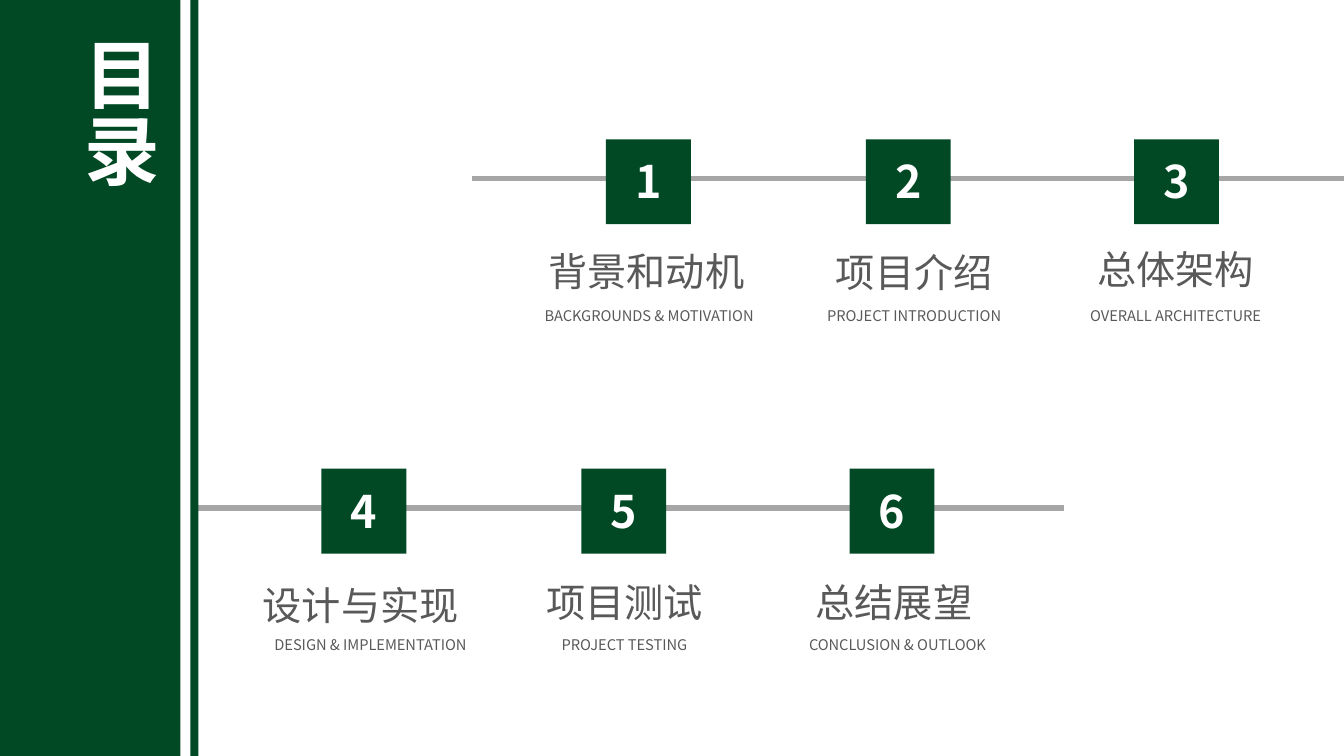
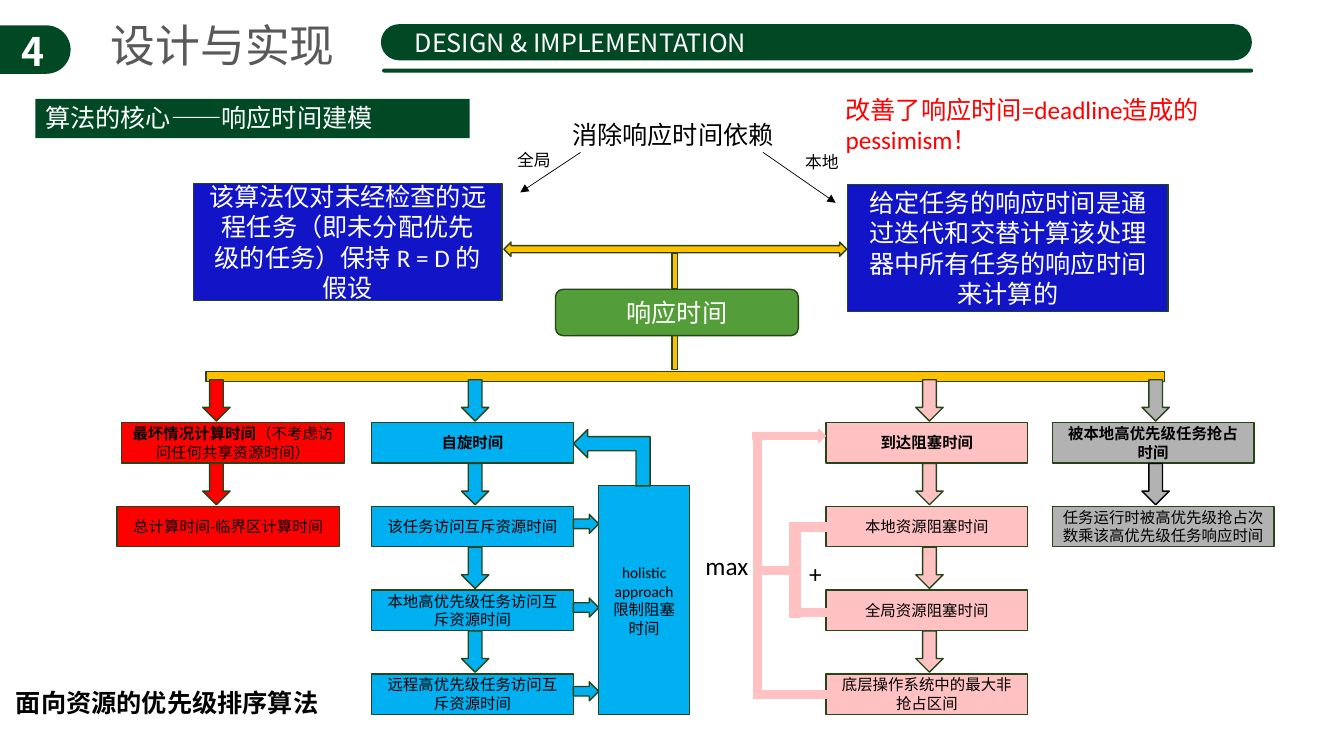
"""Build an agenda slide and a response-time modelling slide."""
from lxml import etree
from pptx import Presentation
from pptx.dml.color import RGBColor
from pptx.enum.lang import MSO_LANGUAGE_ID
from pptx.enum.shapes import MSO_CONNECTOR, MSO_SHAPE
from pptx.enum.text import MSO_ANCHOR, PP_ALIGN
from pptx.oxml.ns import qn
from pptx.util import Cm, Pt

RECTANGLE = MSO_SHAPE.RECTANGLE
ROUNDED = MSO_SHAPE.ROUNDED_RECTANGLE
DOWN_ARROW = MSO_SHAPE.DOWN_ARROW
RIGHT_ARROW = MSO_SHAPE.RIGHT_ARROW
DOUBLE_ARROW = MSO_SHAPE.LEFT_RIGHT_ARROW
BENT_ARROW = MSO_SHAPE.BENT_UP_ARROW
STRAIGHT = MSO_CONNECTOR.STRAIGHT
LEFT, CENTER = PP_ALIGN.LEFT, PP_ALIGN.CENTER
MIDDLE = MSO_ANCHOR.MIDDLE
CHINESE = MSO_LANGUAGE_ID.SIMPLIFIED_CHINESE

COLORS = {
    "brand": "014924", "outline": "254519", "white": "FFFFFF", "black": "000000",
    "heading": "595959", "rail": "A6A6A6", "gold": "FFC000", "green": "549E39",
    "navy": "1115C7", "red": "FF0000", "cyan": "00B0F0", "pink": "FFC1C1", "gray": "B2B2B2",
}
HEADING_FONT, BODY_FONT = "Noto Sans CJK SC", "Calibri"
STYLES = {
    "contents": ("white", {"name": HEADING_FONT, "size": Pt(54), "bold": True}),
    "number": ("white", {"name": HEADING_FONT, "size": Pt(32), "bold": True}),
    "agenda": ("heading", {"name": HEADING_FONT, "size": Pt(28)}),
    "caption": ("heading", {"name": HEADING_FONT, "size": Pt(10.5)}),
    "badge": ("white", {"name": HEADING_FONT, "size": Pt(28), "bold": True}),
    "title": ("heading", {"name": HEADING_FONT, "size": Pt(32)}),
    "banner": ("white", {"name": HEADING_FONT, "size": Pt(18)}),
    "footer": ("black", {"name": HEADING_FONT, "size": Pt(18), "bold": True}),
    "claim": ("white", {"name": BODY_FONT, "size": Pt(18)}),
    "body": ("black", {"name": BODY_FONT, "size": Pt(18)}),
    "alert": ("red", {"name": BODY_FONT, "size": Pt(18)}),
    "label": ("black", {"name": BODY_FONT, "size": Pt(12)}),
    "step": ("black", {"name": BODY_FONT, "size": Pt(11)}),
    "step head": ("black", {"name": BODY_FONT, "size": Pt(11), "bold": True}),
}


def add_block(slide, kind, box, fill, line=None):
    shape = slide.shapes.add_shape(kind, *map(Cm, box))
    shape.shadow.inherit = False
    shape.fill.solid()
    shape.fill.fore_color.rgb = RGBColor.from_string(COLORS[fill])
    if line:
        shape.line.color.rgb = RGBColor.from_string(COLORS[line])
        shape.line.width = Pt(1)
    else:
        shape.line.fill.background()
    return shape


def write(shape, text, style, alignment=CENTER, tail=""):
    color, formats = STYLES[style]
    frame = shape.text_frame
    frame.word_wrap = True
    for index, words in enumerate(text.split("\n")):
        paragraph = frame.add_paragraph() if index else frame.paragraphs[0]
        paragraph.alignment = alignment
        for position, part in enumerate([words, tail] if tail else [words]):
            run = paragraph.add_run()
            run.text = part
            for name, value in {**formats, "language_id": CHINESE}.items():
                setattr(run.font, name, value)
            if position:
                run.font.bold = False
            run.font.color.rgb = RGBColor.from_string(COLORS[color])
            properties = run.font.fill._xPr
            etree.SubElement(properties, qn("a:ea")).set("typeface", HEADING_FONT)


presentation = Presentation()
presentation.slide_width, presentation.slide_height = Cm(33.87), Cm(19.05)
blank = presentation.slide_layouts[6]
agenda_slide = presentation.slides.add_slide(blank)
model_slide = presentation.slides.add_slide(blank)

connectors = [
    (agenda_slide, (11.89, 4.5, 33.87, 4.5), "rail", 4, False),
    (agenda_slide, (4.83, 12.8, 26.82, 12.8), "rail", 4, False),
    (model_slide, (14.63, 3.84, 13.11, 4.85), "black", 0.5, True),
    (model_slide, (19.23, 3.84, 21.06, 5.11), "black", 0.5, True),
]
for slide, ends, color, width, pointed in connectors:
    connector = slide.shapes.add_connector(STRAIGHT, *map(Cm, ends))
    connector.line.color.rgb = RGBColor.from_string(COLORS[color])
    connector.line.width = Pt(width)
    if pointed:
        outline = connector.line._get_or_add_ln()
        etree.SubElement(outline, qn("a:tailEnd")).set("type", "triangle")
    etree.SubElement(connector.element.spPr, qn("a:effectLst"))

for left, width in ((0, 4.55), (4.8, 0.2)):
    add_block(agenda_slide, RECTANGLE, (left, 0, width, 19.05), "brand")
contents = agenda_slide.shapes.add_textbox(Cm(1.47), Cm(0.69), Cm(2.82), Cm(4.88))
contents.element.txBody.bodyPr.set("vert", "eaVert")
write(contents, "目录", "contents", LEFT)

agenda = [
    ("背景和动机", 1.02, 2.59, "BACKGROUNDS & MOTIVATION", 1.09),
    ("项目介绍", 1.22, 2.62, "PROJECT INTRODUCTION", 1.22),
    ("总体架构", 1.04, 2.54, "OVERALL ARCHITECTURE", 1.05),
    ("设计与实现", 0.99, 2.72, "DESIGN & IMPLEMENTATION", 1.24),
    ("项目测试", 1.09, 2.64, "PROJECT TESTING", 1.09),
    ("总结展望", 1.12, 2.64, "CONCLUSION & OUTLOOK", 1.21),
]
row_origins = [(15.27, 3.51), (8.1, 11.81)]
column_offsets = [0, 6.55, 13.31]
for index, (heading, heading_center, heading_top, caption, caption_center) in enumerate(agenda):
    row, column = divmod(index, 3)
    left, top = row_origins[row]
    left += column_offsets[column]
    add_block(agenda_slide, RECTANGLE, (left, top, 2.14, 2.14), "brand")
    for text, style, center, offset, width, height in (
        (str(index + 1), "number", 1.07, 0.25, 2.72, 1.8),
        (heading, "agenda", heading_center, heading_top, 5.8, 1.45),
        (caption, "caption", caption_center, 4.09, 6.5, 0.71),
    ):
        box = (left + center - width / 2, top + offset, width, height)
        write(agenda_slide.shapes.add_textbox(*map(Cm, box)), text, style)

for box in ((-0.71, 0.64, 2.49, 1.22), (9.6, 0.61, 21.95, 0.91), (9.63, 1.73, 21.95, 0.1)):
    add_block(model_slide, ROUNDED, box, "brand").adjustments[0] = 0.5
add_block(model_slide, RECTANGLE, (0.89, 2.49, 10.95, 0.99), "brand")

for kind, box in (
    (RECTANGLE, (16.94, 8.43, 0.13, 0.89)),
    (RECTANGLE, (5.19, 9.36, 24.16, 0.25)),
    (RECTANGLE, (16.94, 6.38, 0.13, 0.89)),
    (DOUBLE_ARROW, (12.7, 6.1, 8.64, 0.36)),
):
    add_block(model_slide, kind, box, "gold", "outline")

claims = [
    (ROUNDED, (14, 7.29, 6.12, 1.17), "green", "响应时间"),
    (RECTANGLE, (4.88, 4.62, 7.77, 2.95), "navy",
     "该算法仅对未经检查的远程任务（即未分配优先\n级的任务）保持 R = D 的假设"),
    (RECTANGLE, (21.36, 4.65, 8.08, 3.2), "navy",
     "给定任务的响应时间是通过迭代和交替计算该处理器中所有任务的响应时间来计算的"),
]
for kind, box, fill, text in claims:
    shape = add_block(model_slide, kind, box, fill, "outline")
    shape.text_frame.vertical_anchor = MIDDLE
    write(shape, text, "claim")

step_top, arrow_top, step_gap = 10.65, 9.57, 2.11
chains = [
    ("red", 5.11, "outline", [
        (3.07, 5.61, "最坏情况计算时间", "（不考虑访问任何共享资源时间）"),
        (2.95, 5.61, "总计算时间-临界区计算时间", "")]),
    ("cyan", 11.63, "outline", [
        (9.37, 5.08, "自旋时间", ""),
        (9.37, 5.08, "该任务访问互斥资源时间", ""),
        (9.37, 5.08, "本地高优先级任务访问互斥资源时间", ""),
        (9.37, 5.08, "远程高优先级任务访问互斥资源时间", "")]),
    ("pink", 23.08, "outline", [
        (20.82, 5.08, "到达阻塞时间", ""),
        (20.82, 5.08, "本地资源阻塞时间", ""),
        (20.82, 5.08, "全局资源阻塞时间", ""),
        (20.82, 5.08, "底层操作系统中的最大非抢占区间", "")]),
    ("gray", 28.78, "black", [
        (26.52, 5.08, "被本地高优先级任务抢占时间", ""),
        (26.52, 5.59, "任务运行时被高优先级抢占次数乘该高优先级任务响应时间", "")]),
]
for fill, arrow_left, inner_line, steps in chains:
    for row, (left, width, text, tail) in enumerate(steps):
        shift = row * step_gap
        add_block(model_slide, DOWN_ARROW, (arrow_left, arrow_top + shift, 0.69, 1.04),
                  fill, inner_line if row else "outline")
        shape = add_block(model_slide, RECTANGLE, (left, step_top + shift, width, 1.02),
                          fill, "outline")
        shape.text_frame.vertical_anchor = MIDDLE
        write(shape, text, "step" if row else "step head", tail=tail)

for row in (1, 2, 3):
    add_block(model_slide, RIGHT_ARROW, (14.45, step_top + row * step_gap + 0.2, 0.64, 0.48),
              "cyan", "outline")
holistic = add_block(model_slide, RECTANGLE, (15.09, 12.24, 2.29, 5.77), "cyan", "outline")
holistic.text_frame.vertical_anchor = MIDDLE
write(holistic, "holistic approach\n限制阻塞\n时间", "step")
feedback = add_block(model_slide, BENT_ARROW, (14.71, 10.57, 1.42, 1.93), "cyan", "outline")
feedback.rotation = 270

for kind, box in (
    (RECTANGLE, (20.12, 13.18, 0.72, 0.2)),
    (RECTANGLE, (20.12, 15.34, 0.72, 0.2)),
    (RECTANGLE, (19.9, 13.17, 0.28, 2.39)),
    (RECTANGLE, (19.15, 14.27, 0.74, 0.2)),
    (RECTANGLE, (19.15, 17.4, 1.68, 0.2)),
    (RECTANGLE, (18.99, 11.01, 0.2, 6.58)),
    (RIGHT_ARROW, (18.97, 10.82, 1.83, 0.33)),
):
    add_block(model_slide, kind, box, "pink", "pink")

labels = [
    ("4", "badge", (0.18, 0.56, 1.3, 1.45), CENTER),
    ("设计与实现", "title", (2.54, 0.33, 6.4, 1.63), LEFT),
    ("DESIGN & IMPLEMENTATION", "banner", (5.64, 0.56, 17.98, 1.02), CENTER),
    ("算法的核心——响应时间建模", "banner", (0.89, 2.46, 9.2, 1.02), LEFT),
    ("消除响应时间依赖", "body", (14.17, 2.87, 5.8, 1.02), LEFT),
    ("全局", "label", (12.78, 3.66, 1.88, 0.76), LEFT),
    ("本地", "label", (20.04, 3.71, 1.88, 0.76), LEFT),
    ("改善了响应时间=deadline造成的pessimism！", "alert", (21.06, 2.24, 11.43, 1.8), LEFT),
    ("+", "body", (20.14, 13.94, 1, 1.02), LEFT),
    ("max", "body", (17.53, 13.74, 1.8, 1.02), LEFT),
    ("面向资源的优先级排序算法", "footer", (0.15, 17.2, 13.16, 1.02), LEFT),
]
for text, style, box, alignment in labels:
    write(model_slide.shapes.add_textbox(*map(Cm, box)), text, style, alignment)

presentation.save("out.pptx")
